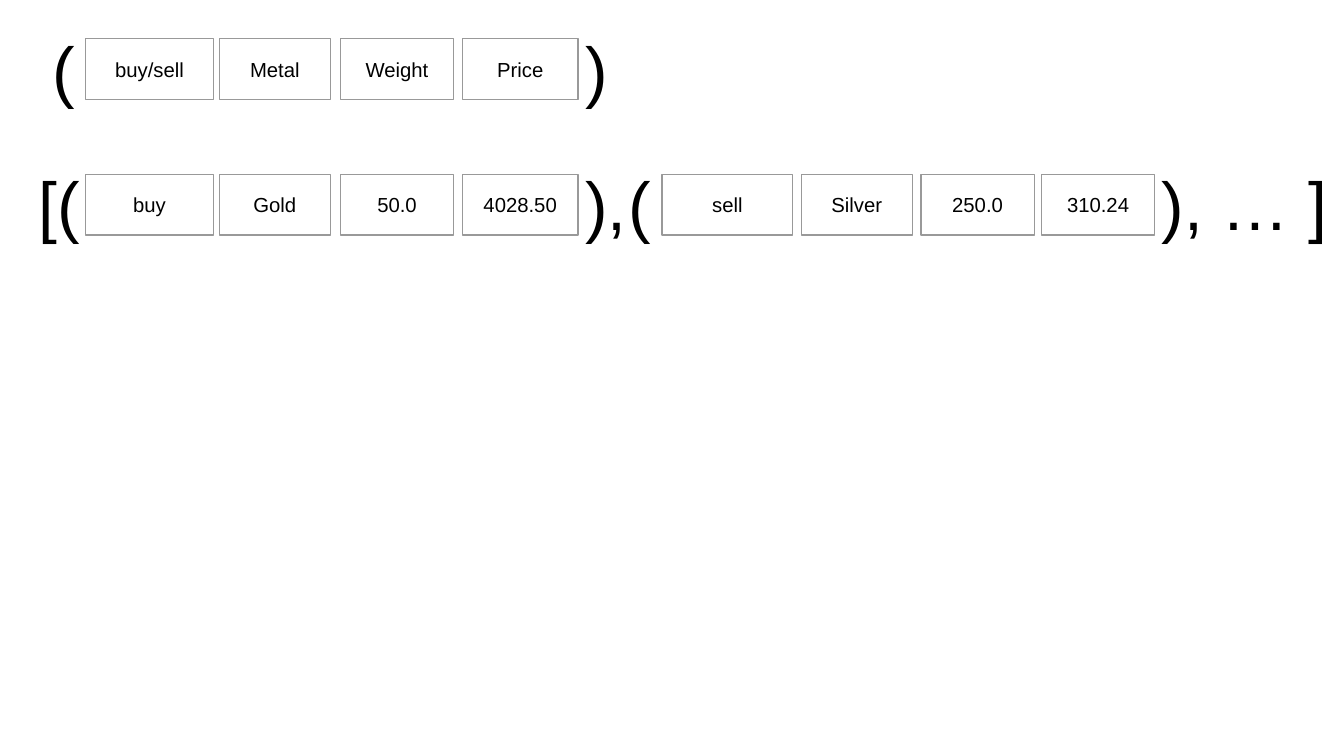
from pptx import Presentation
from pptx.dml.color import RGBColor
from pptx.enum.shapes import MSO_SHAPE
from pptx.enum.text import MSO_ANCHOR, MSO_AUTO_SIZE, PP_ALIGN
from pptx.util import Cm, Pt


def color(hex_value):
    return RGBColor.from_string(hex_value)


class TupleSlide:
    font = "Arial"
    ink = "000000"
    border = "999999"
    field_size = 12
    bracket_size = 40
    field_height = 1.27
    bracket_height = 1.83
    bracket_rise = 0.36

    def __init__(self, slide):
        self.slide = slide

    def add_words(self, paragraph, words, size):
        run = paragraph.add_run()
        run.text = words
        run.font.name = self.font
        run.font.size = Pt(size)
        run.font.color.rgb = color(self.ink)

    def field(self, words, left, top, width):
        cell = self.slide.shapes.add_shape(
            MSO_SHAPE.RECTANGLE, Cm(left), Cm(top), Cm(width), Cm(self.field_height))
        cell.shadow.inherit = False
        cell.fill.background()
        cell.line.color.rgb = color(self.border)
        cell.line.width = Pt(0)
        frame = cell.text_frame
        frame.word_wrap = True
        frame.vertical_anchor = MSO_ANCHOR.MIDDLE
        frame.paragraphs[0].alignment = PP_ALIGN.CENTER
        self.add_words(frame.paragraphs[0], words, self.field_size)

    def record(self, values, columns, top):
        for value, (left, width) in zip(values, columns):
            self.field(value, left, top, width)

    def bracket(self, symbols, left, row_top, width):
        label = self.slide.shapes.add_textbox(
            Cm(left), Cm(row_top - self.bracket_rise), Cm(width), Cm(self.bracket_height))
        frame = label.text_frame
        frame.word_wrap = True
        frame.auto_size = MSO_AUTO_SIZE.SHAPE_TO_FIT_TEXT
        self.add_words(frame.paragraphs[0], symbols, self.bracket_size)


def main():
    deck = Presentation()
    deck.slide_width = Cm(27.99)
    deck.slide_height = Cm(15.75)
    page = TupleSlide(deck.slides.add_slide(deck.slide_layouts[6]))

    schema_top, trades_top = 0.81, 3.63
    first_columns = [(1.78, 2.67), (4.57, 2.31), (7.09, 2.36), (9.63, 2.41)]
    second_columns = [(13.79, 2.72), (16.69, 2.31), (19.18, 2.36), (21.69, 2.36)]

    page.record(["buy/sell", "Metal", "Weight", "Price"], first_columns, schema_top)
    page.record(["buy", "Gold", "50.0", "4028.50"], first_columns, trades_top)
    page.record(["sell", "Silver", "250.0", "310.24"], second_columns, trades_top)

    for symbols, left, row_top, width in [
        ("(", 0.84, schema_top, 1.27),
        (")", 11.94, schema_top, 1.27),
        ("[(", 0.56, trades_top, 1.55),
        ("),", 11.94, trades_top, 1.7),
        ("(", 12.85, trades_top, 1.27),
        ("), … ]", 23.95, trades_top, 4.04),
    ]:
        page.bracket(symbols, left, row_top, width)

    deck.save("out.pptx")


if __name__ == "__main__":
    main()
